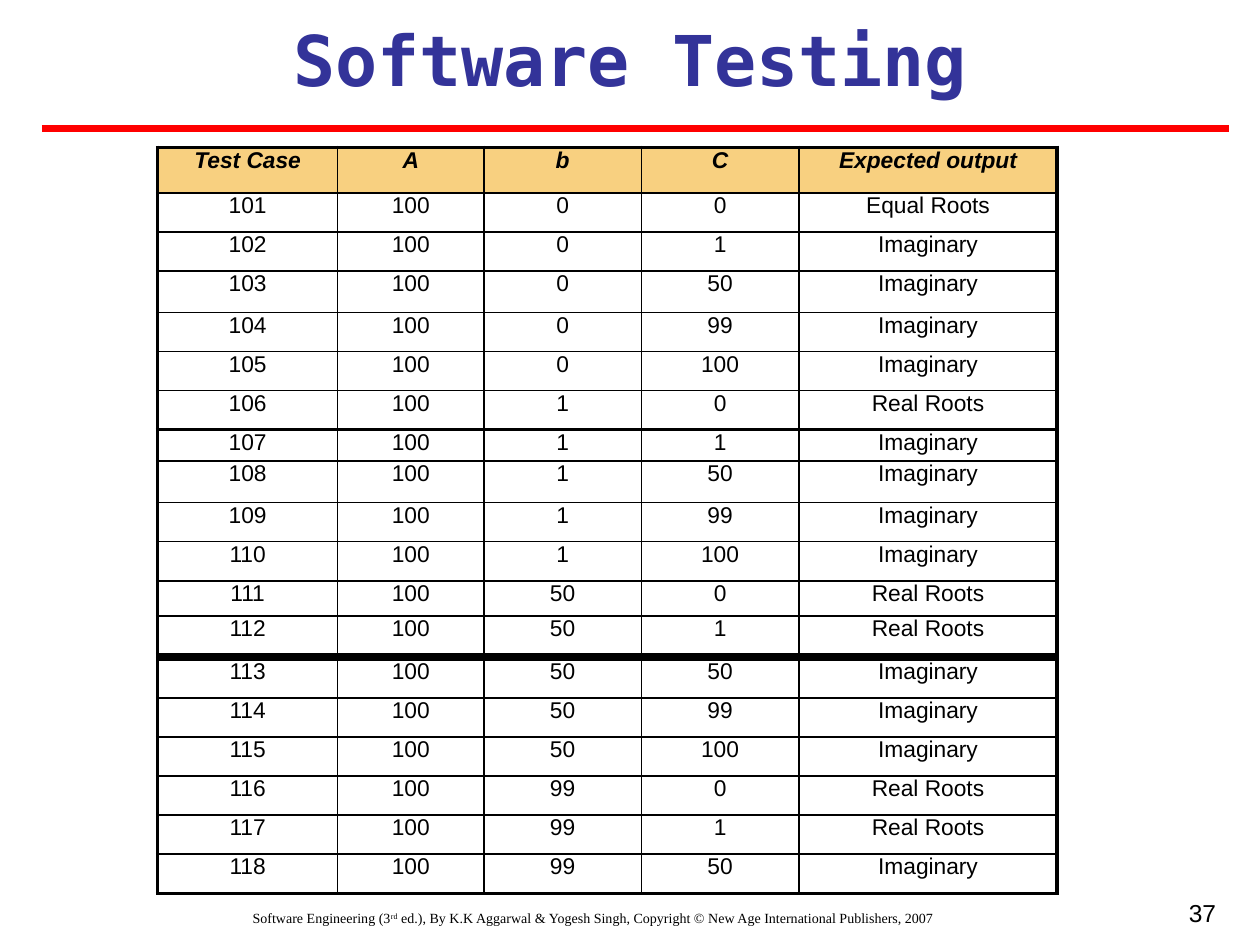
from itertools import product

from lxml.etree import SubElement
from pptx import Presentation
from pptx.dml.color import RGBColor
from pptx.enum.shapes import MSO_CONNECTOR
from pptx.enum.text import MSO_ANCHOR, MSO_AUTO_SIZE, PP_ALIGN
from pptx.oxml.ns import qn
from pptx.util import Inches, Pt

BLACK = RGBColor(0x00, 0x00, 0x00)
NAVY = RGBColor(0x33, 0x33, 0x99)
RED = RGBColor(0xFF, 0x00, 0x00)
AMBER = RGBColor(0xF8, 0xD0, 0x80)
THIN, THICK = Pt(1), Pt(2.25)


def style(paragraph, face, size, color, align, bold=False, italic=False):
    paragraph.alignment = align
    font = paragraph.font
    font.name, font.size = face, Pt(size)
    font.bold, font.italic = bold, italic
    font.color.rgb = color


def add_border(cell, side, width):
    line = SubElement(cell._tc.get_or_add_tcPr(), qn(f"a:ln{side}"), w=str(width))
    fill = SubElement(line, qn("a:solidFill"))
    SubElement(fill, qn("a:srgbClr"), val=str(BLACK))


deck = Presentation()
deck.slide_width, deck.slide_height = Inches(10), Inches(7.5)
W, H = deck.slide_width, deck.slide_height
slide = deck.slides.add_slide(deck.slide_layouts[5])

# Title and the rule below it
title = slide.shapes.title
title.left, title.top = W // 30, H // 90
title.width, title.height = W * 28 // 30, Inches(0.77)
heading = title.text_frame
heading.text = "Software Testing"
heading.word_wrap = True
heading.auto_size = MSO_AUTO_SIZE.NONE
heading.vertical_anchor = MSO_ANCHOR.TOP
style(heading.paragraphs[0], "DejaVu Sans Mono", 40, NAVY, PP_ALIGN.CENTER, bold=True)

rule_y = Inches(1.02)
rule = slide.shapes.add_connector(
    MSO_CONNECTOR.STRAIGHT, W // 30, rule_y, W * 39 // 40, rule_y)
rule.line.color.rgb = RED
rule.line.width = Pt(4.5)
SubElement(rule._element.spPr, qn("a:effectLst"))

# Test cases: a stays at 100 while b and c step through the boundary values
A = 100
BOUNDARIES = [0, 1, 50, 99, 100]
test_cases = [["Test Case", "A", "b", "C", "Expected output"]]
for number, (b, c) in enumerate(list(product(BOUNDARIES, repeat=2))[:18], start=101):
    discriminant = b * b - 4 * A * c
    if discriminant == 0:
        roots = "Equal Roots"
    else:
        roots = "Real Roots" if discriminant > 0 else "Imaginary"
    test_cases.append([number, A, b, c, roots])

# The cases are spread over three tables: top edge and row heights of each
COLUMNS = [1.43, 1.16, 1.25, 1.25, 2.05]
SECTIONS = [
    (1.17, [0.36, 0.31, 0.31, 0.33, 0.31, 0.31, 0.31]),
    (3.41, [0.25, 0.33, 0.31, 0.31, 0.28, 0.31]),
    (5.23, [0.31] * 6),
]
remaining = iter(test_cases)
for top, heights in SECTIONS:
    table = slide.shapes.add_table(
        len(heights), len(COLUMNS), W // 8, Inches(top),
        Inches(sum(COLUMNS)), Inches(sum(heights))).table
    table.first_row = table.horz_banding = False
    for column, width in zip(table.columns, COLUMNS):
        column.width = Inches(width)
    last_row, last_column = len(heights) - 1, len(COLUMNS) - 1
    for r, height in enumerate(heights):
        table.rows[r].height = Inches(height)
        values = next(remaining)
        is_header = values is test_cases[0]
        for c, value in enumerate(values):
            cell = table.cell(r, c)
            cell.text = str(value)
            cell.margin_top = cell.margin_bottom = 0
            style(cell.text_frame.paragraphs[0], "Arial", 13, BLACK,
                  PP_ALIGN.CENTER, bold=is_header, italic=is_header)
            outer = {"L": c == 0, "R": c == last_column,
                     "T": r == 0, "B": r == last_row}
            for side, is_outer in outer.items():
                add_border(cell, side, THICK if is_outer else THIN)
            if is_header:
                cell.fill.solid()
                cell.fill.fore_color.rgb = AMBER
            else:
                cell.fill.background()

# Footer and slide number
footer = slide.shapes.add_textbox(W // 40, Inches(7.17), Inches(8.92), Inches(0.33))
footer.text_frame.word_wrap = True
credit = footer.text_frame.paragraphs[0]
style(credit, "Times New Roman", 8, BLACK, PP_ALIGN.CENTER)
credit.add_run().text = "Software Engineering (3"
ordinal = credit.add_run()
ordinal.text = "rd"
ordinal.font._element.set("baseline", "30000")
credit.add_run().text = (
    " ed.), By K.K Aggarwal & Yogesh Singh, "
    "Copyright © New Age International Publishers, 2007")

page = slide.shapes.add_textbox(Inches(7.42), Inches(7.08), Inches(2.33), Inches(0.42))
page.text_frame.word_wrap = True
page.text_frame.text = "37"
style(page.text_frame.paragraphs[0], "Arial", 14, BLACK, PP_ALIGN.RIGHT)

deck.save("out.pptx")
